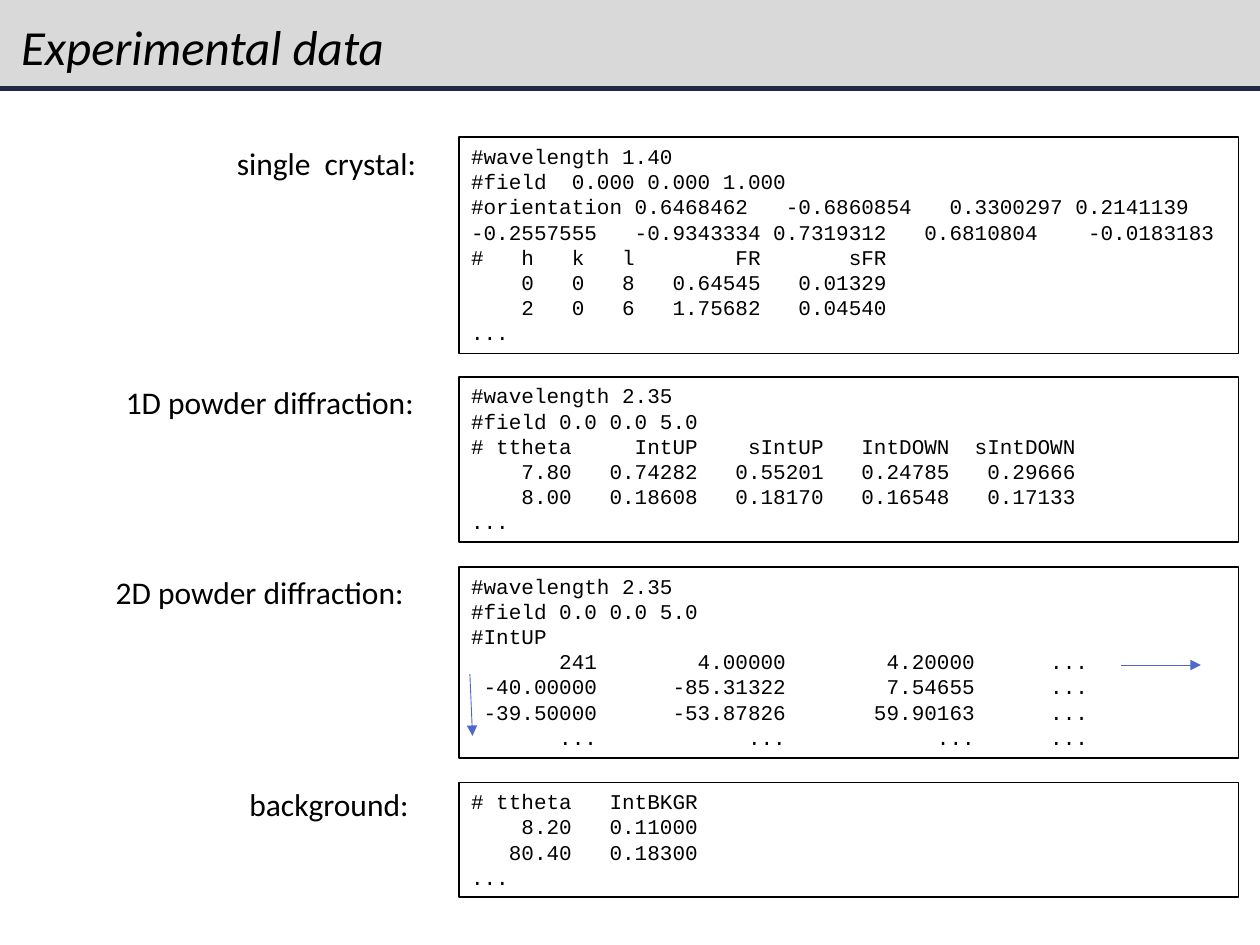
import pptx
import pptx.dml.color
import pptx.enum.shapes
import pptx.enum.text
import pptx.oxml.ns
import pptx.util
import lxml.etree

Pt = pptx.util.Pt
RGBColor = pptx.dml.color.RGBColor
MSO_ANCHOR = pptx.enum.text.MSO_ANCHOR

BLACK = RGBColor(0x00, 0x00, 0x00)
WHITE = RGBColor(0xFF, 0xFF, 0xFF)
GREY = RGBColor(0xD9, 0xD9, 0xD9)
NAVY = RGBColor(0x21, 0x27, 0x45)
BLUE = RGBColor(0x4E, 0x67, 0xC8)

LISTING_LEFT = 262.1
LISTING_WIDTH = 445.7
LINE_HEIGHT = 14.5
LISTING_PADDING = 7.5
LABEL_RIGHT = 246.2
LABEL_HEIGHT = 29

SINGLE_CRYSTAL = """#wavelength 1.40
#field  0.000 0.000 1.000
#orientation 0.6468462   -0.6860854   0.3300297 0.2141139   -0.2557555   -0.9343334 0.7319312   0.6810804    -0.0183183
#   h   k   l        FR       sFR
    0   0   8   0.64545   0.01329
    2   0   6   1.75682   0.04540
..."""

POWDER_1D = """#wavelength 2.35
#field 0.0 0.0 5.0
# ttheta     IntUP    sIntUP   IntDOWN  sIntDOWN
    7.80   0.74282   0.55201   0.24785   0.29666
    8.00   0.18608   0.18170   0.16548   0.17133
..."""

POWDER_2D = """#wavelength 2.35
#field 0.0 0.0 5.0
#IntUP
       241        4.00000        4.20000      ...
 -40.00000      -85.31322        7.54655      ...
 -39.50000      -53.87826       59.90163      ...
       ...            ...            ...      ..."""

BACKGROUND = """# ttheta   IntBKGR
    8.20   0.11000
   80.40   0.18300
..."""

SECTIONS = [
    ("single  crystal:", 128.2, 78.5, 78.5, SINGLE_CRYSTAL, 8),
    ("1D powder diffraction:", 64.8, 215.3, 215.3, POWDER_1D, 6),
    ("2D powder diffraction:", 59, 324, 324, POWDER_2D, 7),
    ("background:", 135.4, 445, 447.1, BACKGROUND, 4),
]


def write_text(frame, text, *, font="Calibri", size=18, italic=False,
               wrap=True, anchor=MSO_ANCHOR.TOP, spacing=1.0):
    frame.word_wrap = wrap
    frame.vertical_anchor = anchor
    for index, line in enumerate(text.split("\n")):
        paragraph = frame.add_paragraph() if index else frame.paragraphs[0]
        paragraph.alignment = pptx.enum.text.PP_ALIGN.LEFT
        paragraph.line_spacing = spacing
        run = paragraph.add_run()
        run.text = line
        run.font.name = font
        run.font.size = Pt(size)
        run.font.italic = italic
        run.font.color.rgb = BLACK


class SlideBuilder:
    def __init__(self, slide):
        self.slide = slide
        self.code_font = "Courier New"
        self.code_size = 12

    def rectangle(self, left, top, width, height, fill, line, line_width):
        shape = self.slide.shapes.add_shape(
            pptx.enum.shapes.MSO_SHAPE.RECTANGLE,
            Pt(left), Pt(top), Pt(width), Pt(height))
        shape.shadow.inherit = False
        shape.fill.solid()
        shape.fill.fore_color.rgb = fill
        shape.line.color.rgb = line
        shape.line.width = Pt(line_width)
        return shape

    def text(self, left, top, width, height, text, **text_format):
        shape = self.slide.shapes.add_textbox(Pt(left), Pt(top), Pt(width), Pt(height))
        write_text(shape.text_frame, text, **text_format)

    def listing(self, top, text, line_count):
        height = line_count * LINE_HEIGHT + LISTING_PADDING
        shape = self.rectangle(LISTING_LEFT, top, LISTING_WIDTH, height, WHITE, BLACK, 1)
        write_text(shape.text_frame, text, font=self.code_font, size=self.code_size)

    def arrow(self, start_x, start_y, end_x, end_y):
        connector = self.slide.shapes.add_connector(
            pptx.enum.shapes.MSO_CONNECTOR.STRAIGHT,
            Pt(start_x), Pt(start_y), Pt(end_x), Pt(end_y))
        connector.line.color.rgb = BLUE
        connector.line.width = Pt(0.5)
        qn = pptx.oxml.ns.qn
        properties = connector._element.spPr
        line = properties.find(qn("a:ln"))
        lxml.etree.SubElement(line, qn("a:tailEnd"), type="triangle")
        lxml.etree.SubElement(properties, qn("a:effectLst"))


def main():
    presentation = pptx.Presentation()
    presentation.slide_width = Pt(720)
    presentation.slide_height = Pt(540)
    builder = SlideBuilder(presentation.slides.add_slide(presentation.slide_layouts[6]))

    builder.rectangle(-15, -7, 751.5, 57.5, GREY, NAVY, 3)
    builder.text(5, 0, 674.6, 57, "Experimental data", size=28, italic=True,
                 anchor=MSO_ANCHOR.MIDDLE, spacing=0.9)

    for label, label_left, label_top, listing_top, listing, line_count in SECTIONS:
        builder.listing(listing_top, listing, line_count)
        builder.text(label_left, label_top, LABEL_RIGHT - label_left, LABEL_HEIGHT,
                     label, wrap=False)

    builder.arrow(640.8, 380, 686.2, 380)
    builder.arrow(268.5, 385.2, 270, 420.5)

    presentation.save("out.pptx")


if __name__ == "__main__":
    main()
